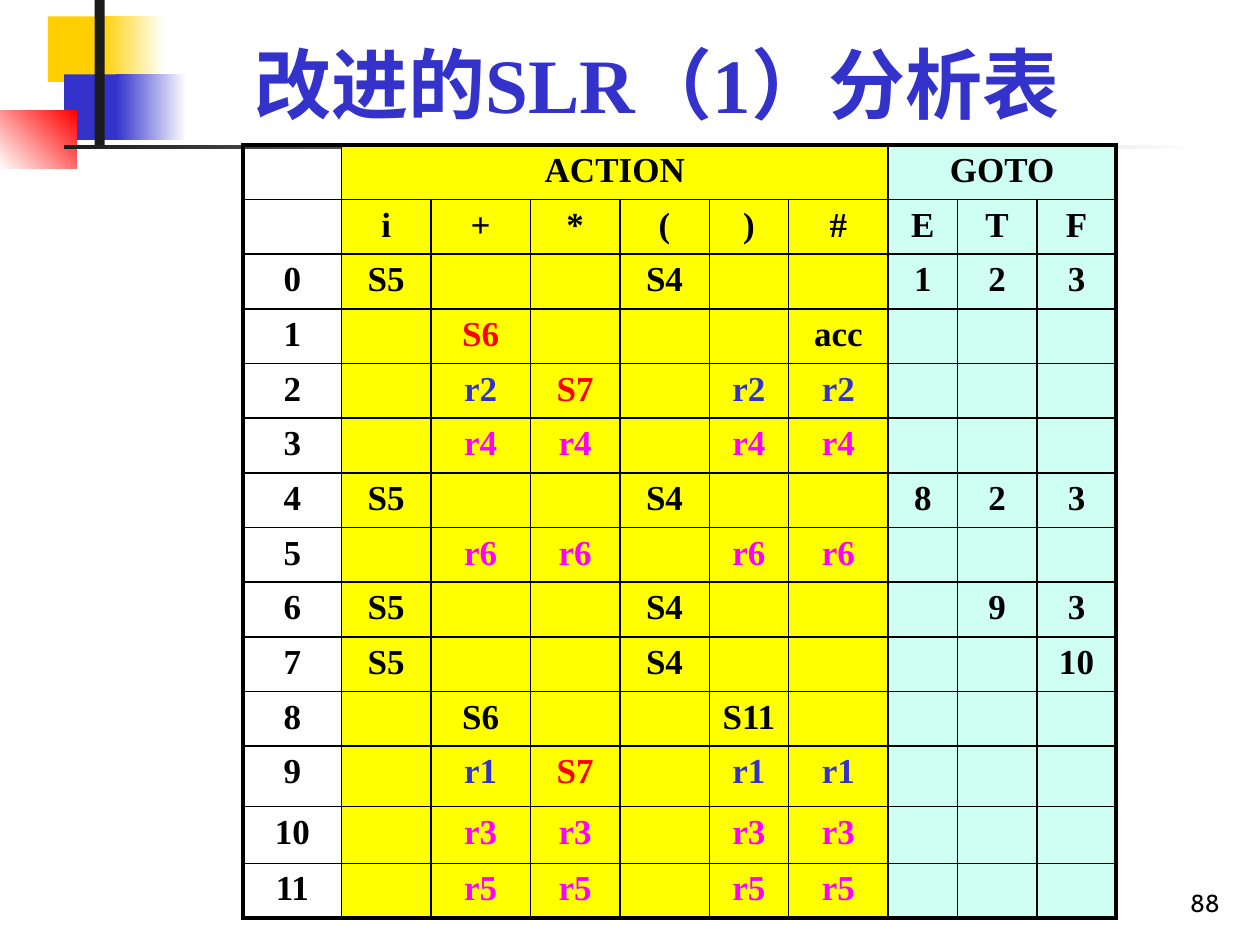
"""Build a slide with the improved SLR(1) parsing table."""
from lxml.etree import SubElement
from pptx import Presentation
from pptx.dml.color import RGBColor
from pptx.enum.shapes import MSO_SHAPE
from pptx.enum.text import MSO_ANCHOR, PP_ALIGN
from pptx.oxml.ns import qn
from pptx.util import Inches, Pt


def color(value):
    return RGBColor.from_string(value)


def write(paragraph, text, align, **style):
    paragraph.alignment = align
    span = paragraph.add_run()
    span.text = text
    span.font.color.rgb = color(style.pop("fill"))
    for name, value in style.items():
        setattr(span.font, name, value)


BLACK, WHITE, BLUE, GOLD = "000000", "FFFFFF", "3333CC", "FFCF01"
RED, MAGENTA, YELLOW, MINT, DARK = "FF0000", "FF00FF", "FFFF00", "CFFFF2", "1C1C1C"
SERIF = "Times New Roman"

deck = Presentation()
deck.slide_width, deck.slide_height = Inches(10), Inches(7.5)
page = deck.slides.add_slide(deck.slide_layouts[5])

decorations = [
    ((0.38, 0.13, 0.67, 0.52), [GOLD], 0),
    ((0.8, 0.13, 0.5, 0.52), [GOLD, WHITE], 0),
    ((0.51, 0.59, 0.64, 0.52), [BLUE], 0),
    ((0.92, 0.59, 0.56, 0.52), [BLUE, WHITE], 0),
    ((0, 0.88, 0.61, 0.46), [WHITE, RED], 45),
    ((0.75, 0, 0.08, 1.15), [DARK], 0),
    ((0.51, 1.15, 9, 0.03), [DARK, WHITE], 0),
]
for place, colors, angle in decorations:
    block = page.shapes.add_shape(MSO_SHAPE.RECTANGLE, *map(Inches, place))
    block.shadow.inherit = False
    block.line.fill.background()
    if len(colors) == 1:
        block.fill.solid()
        block.fill.fore_color.rgb = color(colors[0])
    else:
        block.fill.gradient()
        block.fill.gradient_angle = angle
        for stop, value in zip(block.fill.gradient_stops, colors):
            stop.color.rgb = color(value)

title = page.shapes.title
title.left, title.top, title.width, title.height = map(Inches, (1.26, 0.23, 7.91, 0.84))
title.text_frame.vertical_anchor = MSO_ANCHOR.BOTTOM
write(title.text_frame.paragraphs[0], "改进的SLR（1）分析表", PP_ALIGN.CENTER,
      fill=BLUE, size=Pt(44), name=SERIF, bold=True)

number = page.shapes.add_textbox(*map(Inches, (7.7, 6.83, 2.08, 0.5))).text_frame
number.word_wrap = True
number.vertical_anchor = MSO_ANCHOR.BOTTOM
write(number.paragraphs[0], "88", PP_ALIGN.RIGHT, fill=BLACK, size=Pt(14), name="Cabin")

rows = [line.split("|") for line in (
    "|ACTION||||||GOTO||",
    "|i|+|*|(|)|#|E|T|F",
    "0|S5|||S4|||1|2|3",
    "1||S6||||acc|||",
    "2||r2|S7||r2|r2|||",
    "3||r4|r4||r4|r4|||",
    "4|S5|||S4|||8|2|3",
    "5||r6|r6||r6|r6|||",
    "6|S5|||S4||||9|3",
    "7|S5|||S4|||||10",
    "8||S6|||S11||||",
    "9||r1|S7||r1|r1|||",
    "10||r3|r3||r3|r3|||",
    "11||r5|r5||r5|r5|||",
)]
widths = [0.78, 0.71, 0.79, 0.71, 0.71, 0.63, 0.79, 0.55, 0.63, 0.63]
heights = [0.31] * 11 + [0.48, 0.45, 0.31]
column_fills = [None] + [YELLOW] * 6 + [MINT] * 3
accents = {"S6": RED, "S7": RED, "r1": BLUE, "r2": BLUE}
accents.update({f"r{rule}": MAGENTA for rule in range(3, 7)})

frame = page.shapes.add_table(len(rows), len(widths), *map(Inches, (1.93, 1.15, 6.93, 6.16)))
table = frame.table
table.first_row = table.horz_banding = False
for column, width in zip(table.columns, widths):
    column.width = Inches(width)
for row, height in zip(table.rows, heights):
    row.height = Inches(height)
table.cell(0, 1).merge(table.cell(0, 6))
table.cell(0, 7).merge(table.cell(0, 9))

for r, texts in enumerate(rows):
    for c, text in enumerate(texts):
        cell = table.cell(r, c)
        last_column = c + cell.span_width == len(widths)
        outer = {"L": c == 0, "R": last_column, "T": r == 0, "B": r == len(rows) - 1}
        properties = cell._tc.get_or_add_tcPr()
        for side, is_outer in outer.items():
            border = SubElement(properties, qn(f"a:ln{side}"), w=str(Pt(2.25 if is_outer else 1)))
            SubElement(SubElement(border, qn("a:solidFill")), qn("a:srgbClr"), val=BLACK)
        if column_fills[c]:
            cell.fill.solid()
            cell.fill.fore_color.rgb = color(column_fills[c])
        else:
            cell.fill.background()
        paragraph = cell.text_frame.paragraphs[0]
        if text:
            text_color = BLACK if texts[0] == "8" else accents.get(text, BLACK)
            write(paragraph, text, PP_ALIGN.CENTER,
                  fill=text_color, size=Pt(20), name=SERIF, bold=True)
            spacing = SubElement(paragraph._p.get_or_add_pPr(), qn("a:spcBef"))
            SubElement(spacing, qn("a:spcPct"), val="20000")
        else:
            ending = SubElement(paragraph._p, qn("a:endParaRPr"), sz="1200")
            SubElement(ending, qn("a:latin"), typeface=SERIF)

deck.save("out.pptx")
